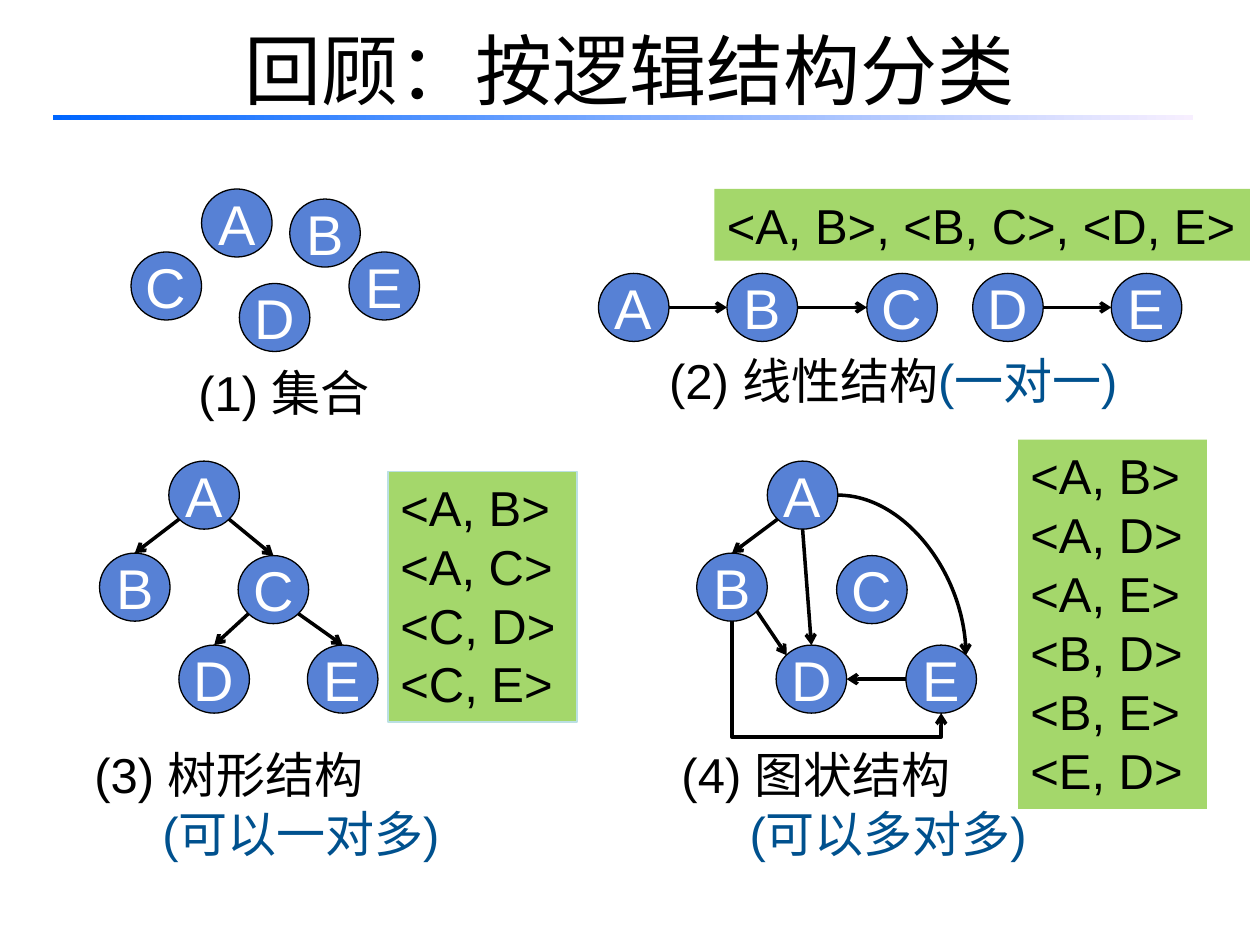
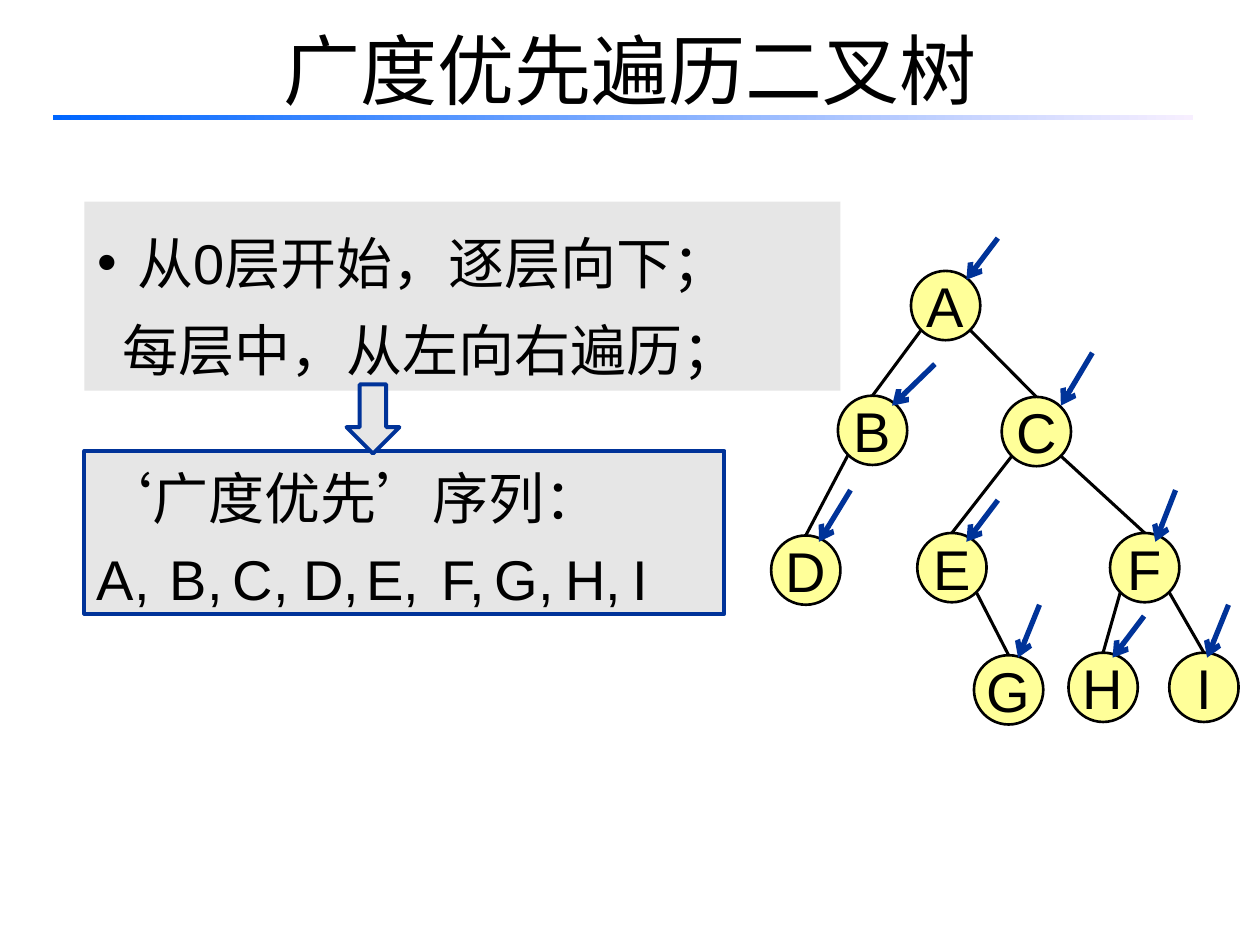
from lxml import etree
from pptx import Presentation
from pptx.dml.color import RGBColor
from pptx.enum.shapes import MSO_CONNECTOR, MSO_SHAPE
from pptx.enum.text import MSO_ANCHOR, MSO_AUTO_SIZE, PP_ALIGN
from pptx.oxml.ns import qn
from pptx.util import Inches, Pt

OVAL, RECTANGLE, DOWN_ARROW = MSO_SHAPE.OVAL, MSO_SHAPE.RECTANGLE, MSO_SHAPE.DOWN_ARROW
STRAIGHT, ELBOW, CURVE = MSO_CONNECTOR.STRAIGHT, MSO_CONNECTOR.ELBOW, MSO_CONNECTOR.CURVE
LEFT, CENTER = PP_ALIGN.LEFT, PP_ALIGN.CENTER
TOP, MIDDLE = MSO_ANCHOR.TOP, MSO_ANCHOR.MIDDLE
NO_FIT = MSO_AUTO_SIZE.NONE

# Shared look
TEXT_FONT, TITLE_FONT = "Arial", "Noto Sans CJK SC"
BLACK, WHITE = "000000", "FFFFFF"
NODE_BLUE, NODE_YELLOW = "5781D5", "FFFF99"
PAIR_GREEN, PAIR_BORDER = "A4D76B", "BBE0E3"
NOTE_BLUE, NAVY, GREY = "00518E", "003399", "E6E6E6"
RULE_START, RULE_END = "0066FF", "F7EFFF"

# Places on a node's outline, as fractions of its width and height
SITES = {
    "top": (0.5, 0), "left": (0, 0.5), "bottom": (0.5, 1), "right": (1, 0.5),
    "top left": (0.15, 0.15), "top right": (0.85, 0.15),
    "bottom left": (0.15, 0.85), "bottom right": (0.85, 0.85),
}


def colour(value):
    return RGBColor.from_string(value)


def write(frame, lines, size, align=LEFT, spacing=None, indents=(), font=TEXT_FONT):
    """Each line is a list of (text, colour) spans."""
    for number, spans in enumerate(lines):
        para = frame.paragraphs[0] if number == 0 else frame.add_paragraph()
        para.alignment = align
        para.space_before = Pt(0)
        if spacing:
            para.line_spacing = spacing
        if indents:
            para._p.get_or_add_pPr().set("marL", str(Inches(indents[number])))
        for text, tint in spans:
            span = para.add_run()
            span.text = text
            span.font.name = font
            span.font.size = Pt(size)
            span.font.color.rgb = colour(tint)


def add_box(page, kind, left, top, width, height, fill, border=None, weight=0.75):
    box = page.shapes.add_shape(kind, Inches(left), Inches(top), Inches(width), Inches(height))
    box.shadow.inherit = False
    box.fill.solid()
    box.fill.fore_color.rgb = colour(fill)
    if border:
        box.line.color.rgb = colour(border)
        box.line.width = Pt(weight)
    else:
        box.line.fill.background()
    box.text_frame.word_wrap = True
    box.text_frame.vertical_anchor = TOP
    return box


def add_text(page, left, top, width, height, lines, size, wrap=True, **style):
    box = page.shapes.add_textbox(Inches(left), Inches(top), Inches(width), Inches(height))
    box.text_frame.word_wrap = wrap
    write(box.text_frame, lines, size, **style)


def add_line(page, start, end, tint=BLACK, weight=2, arrow=True, kind=STRAIGHT):
    line = page.shapes.add_connector(kind, *(Inches(value) for value in (*start, *end)))
    line.line.color.rgb = colour(tint)
    line.line.width = Pt(weight)
    properties = line._element.spPr
    if arrow:
        etree.SubElement(properties.find(qn("a:ln")), qn("a:tailEnd"), type="arrow")
    etree.SubElement(properties, qn("a:effectLst"))
    return line


def add_quarter_curve(page, start, end):
    line = add_line(page, start, end, kind=CURVE)
    line._element.spPr.find(qn("a:prstGeom")).set("prst", "curvedConnector2")


def add_under_loop(page, start, end):
    """Elbow arrow that drops below both ends: a turned and flipped connector."""
    middle_x, middle_y = (start[0] + end[0]) / 2, (start[1] + end[1]) / 2
    half_w, half_h = (end[0] - start[0]) / 2, (end[1] - start[1]) / 2
    line = add_line(page, (middle_x - half_h, middle_y - half_w),
                    (middle_x + half_h, middle_y + half_w), kind=ELBOW)
    properties = line._element.spPr
    frame = properties.find(qn("a:xfrm"))
    frame.set("rot", "16200000")
    frame.set("flipH", "1")
    adjustments = properties.find(qn("a:prstGeom")).find(qn("a:avLst"))
    etree.SubElement(adjustments, qn("a:gd"), name="adj1", fmla="val 126100")


def add_title(page, text):
    title = page.shapes.title
    title.left, title.top, title.width, title.height = (
        Inches(value) for value in (0.5, -0.08, 9, 1.25))
    title.text_frame.vertical_anchor = MIDDLE
    title.text_frame.auto_size = NO_FIT
    write(title.text_frame, [[(text, BLACK)]], 44, CENTER, font=TITLE_FONT)
    for span in title.text_frame.paragraphs[0].runs:
        etree.SubElement(span.font._element, qn("a:ea"), typeface=TITLE_FONT)
    # Gradient rule under the title
    rule = add_box(page, RECTANGLE, 0.42, 0.91, 9.05, 0.04, RULE_START)
    rule.fill.gradient()
    rule.fill.gradient_angle = 0
    for stop, tint in zip(rule.fill.gradient_stops, (RULE_START, RULE_END)):
        stop.color.rgb = colour(tint)


class NodeDiagram:
    """Lettered circles, placed from the region's corner, and lines between them."""

    def __init__(self, page, left, top, places, size=(0.56, 0.54),
                 fill=NODE_BLUE, ink=WHITE, weight=0.75):
        self.page, self.size = page, size
        self.corners = {}
        for letter, (x, y) in places.items():
            self.corners[letter] = (left + x, top + y)
            node = add_box(page, OVAL, left + x, top + y, *size, fill, BLACK, weight)
            node.text_frame.word_wrap = False
            node.text_frame.vertical_anchor = MIDDLE
            write(node.text_frame, [[(letter, ink)]], 32, CENTER)

    def site(self, letter, side):
        return tuple(corner + length * part for corner, length, part in
                     zip(self.corners[letter], self.size, SITES[side]))

    def join(self, edges, **style):
        for first, first_side, second, second_side in edges:
            add_line(self.page, self.site(first, first_side),
                     self.site(second, second_side), **style)


def add_pairs(page, left, top, width, height, pairs, border=None):
    box = add_box(page, RECTANGLE, left, top, width, height, PAIR_GREEN, border)
    write(box.text_frame, [[(pair, BLACK)] for pair in pairs], 28)


# Four logical structures
def set_panel(page, left, top):
    NodeDiagram(page, left, top, {"A": (0.68, 0), "C": (0.12, 0.5), "B": (1.38, 0.08),
                                  "D": (0.98, 0.75), "E": (1.85, 0.5)})
    add_text(page, left, top + 1.33, 2.67, 0.57, [[("(1) 集合", BLACK)]], 28, align=CENTER)


def linear_panel(page, left, top):
    columns = zip("ABCDE", (0.09, 1.11, 2.22, 3.06, 4.16))
    chain = NodeDiagram(page, left, top, {letter: (x, 0.67) for letter, x in columns})
    chain.join((first, "right", second, "left") for first, second in ("AB", "BC", "DE"))
    add_pairs(page, left + 1.01, top, 4.25, 0.57, ["<A, B>, <B, C>, <D, E>"])
    add_text(page, left, top + 1.23, 4.86, 0.57,
             [[("(2) 线性结构", BLACK), ("(一对一)", NOTE_BLUE)]], 28, align=CENTER)


def tree_panel(page, left, top):
    tree = NodeDiagram(page, left, top, {"A": (1.34, 0), "B": (0.79, 0.73), "C": (1.89, 0.75),
                                         "D": (1.42, 1.46), "E": (2.44, 1.46)})
    tree.join([("A", "bottom left", "B", "top"), ("A", "bottom right", "C", "top"),
               ("C", "bottom left", "D", "top"), ("C", "bottom right", "E", "top")])
    add_pairs(page, left + 3.08, top + 0.08, 1.5, 1.99,
              ["<A, B>", "<A, C>", "<C, D>", "<C, E>"], PAIR_BORDER)
    add_text(page, left, top + 2.2, 4.17, 1.04,
             [[("(3) 树形结构", BLACK)], [("(可以一对多)", NOTE_BLUE)]], 28, indents=(0.65, 1.19))


def graph_panel(page, left, top):
    graph = NodeDiagram(page, left, top, {"A": (1.1, 0), "B": (0.54, 0.73), "C": (1.65, 0.75),
                                          "D": (1.17, 1.46), "E": (2.2, 1.46)})
    graph.join([("A", "bottom left", "B", "top"), ("A", "bottom", "D", "top"),
                ("B", "bottom right", "D", "top left"), ("E", "left", "D", "right")])
    add_quarter_curve(page, graph.site("A", "right"), graph.site("E", "top right"))
    add_under_loop(page, graph.site("B", "bottom"), graph.site("E", "bottom"))
    add_pairs(page, left + 3.09, top - 0.17, 1.5, 2.93,
              ["<A, B>", "<A, D>", "<A, E>", "<B, D>", "<B, E>", "<E, D>"])
    add_text(page, left, top + 2.2, 4.59, 1.04,
             [[("(4) 图状结构", BLACK)], [("(可以多对多)", NOTE_BLUE)]], 28, indents=(0.32, 0.86))


def structures_slide(deck):
    page = deck.slides.add_slide(deck.slide_layouts.get_by_name("Title Only"))
    add_title(page, "回顾：按逻辑结构分类")
    set_panel(page, 0.92, 1.5)
    linear_panel(page, 4.66, 1.5)
    tree_panel(page, 0, 3.66)
    graph_panel(page, 4.99, 3.66)


# Breadth-first traversal
def rule_list(page, left, top):
    body = page.placeholders[1]
    body.left, body.top, body.width, body.height = (
        Inches(value) for value in (left, top, 6, 1.5))
    body.fill.solid()
    body.fill.fore_color.rgb = colour(GREY)
    frame = body.text_frame
    frame.auto_size = NO_FIT
    frame.vertical_anchor = TOP
    write(frame, [[("从0层开始，逐层向下；", BLACK)], [("每层中，从左向右遍历；", BLACK)]],
          32, spacing=1.3, indents=(0.32, 0.2))
    bulleted, plain = (para._p.get_or_add_pPr() for para in frame.paragraphs)
    bulleted.set("indent", str(Inches(-0.32)))
    etree.SubElement(bulleted, qn("a:buChar"), char="•")
    plain.set("indent", "0")
    etree.SubElement(plain, qn("a:buNone"))


def sequence_box(page, left, top):
    box = add_box(page, RECTANGLE, left, top, 5.08, 1.29, GREY, NAVY, 2.25)
    write(box.text_frame, [[("‘广度优先’序列：", BLACK)]], 32, spacing=1.1)
    add_box(page, DOWN_ARROW, left + 2.08, top - 0.53, 0.42, 0.55, GREY, NAVY, 2.25)
    visits = [("A,", 0, 0.75), ("B,", 0.58, 0.75), ("C,", 1.08, 0.78),
              ("D,", 1.64, 0.78), ("E,", 2.14, 0.75), ("F,", 2.74, 0.67),
              ("G,", 3.16, 0.8), ("H,", 3.72, 0.78), ("I", 4.25, 0.45)]
    for text, x, width in visits:
        add_text(page, left + x, top + 0.56, width, 0.71, [[(text, BLACK)]], 32,
                 wrap=False, spacing=1.25)


def binary_tree(page, left, top):
    tree = NodeDiagram(page, left, top, {
        "A": (1.11, 0), "B": (0.53, 0.99), "C": (1.83, 1), "D": (0, 2.1), "E": (1.16, 2.08),
        "F": (2.69, 2.08), "G": (1.61, 3.05), "H": (2.36, 3.03), "I": (3.16, 3.03),
    }, (0.55, 0.55), NODE_YELLOW, BLACK, 1.5)
    left_children, right_children = ("AB", "BD", "CE", "FH"), ("AC", "CF", "EG", "FI")
    for side, links in (("bottom left", left_children), ("bottom right", right_children)):
        tree.join(((parent, side, child, "top") for parent, child in links),
                  weight=1.75, arrow=False)
    # Visit marks: tip of each arrow, then how far its start lies right of and above it
    marks = [(1.55, 0.07, 0.25, 0.33), (0.96, 1.07, 0.34, 0.33), (2.3, 1.07, 0.25, 0.42),
             (0.38, 2.15, 0.25, 0.41), (1.55, 2.15, 0.25, 0.33), (3.05, 2.15, 0.16, 0.41),
             (1.96, 3.07, 0.17, 0.42), (2.71, 3.07, 0.25, 0.33), (3.46, 3.07, 0.17, 0.42)]
    for x, y, right, above in marks:
        tip = (left + x, top + y)
        add_line(page, (tip[0] + right, tip[1] - above), tip, NAVY, 3)


def traversal_slide(deck):
    page = deck.slides.add_slide(deck.slide_layouts.get_by_name("Title and Content"))
    add_title(page, "广度优先遍历二叉树")
    rule_list(page, 0.67, 1.6)
    binary_tree(page, 6.12, 2.15)
    sequence_box(page, 0.67, 3.58)


def main():
    deck = Presentation()
    deck.slide_width, deck.slide_height = Inches(10), Inches(7.5)
    structures_slide(deck)
    traversal_slide(deck)
    deck.save("out.pptx")


if __name__ == "__main__":
    main()
